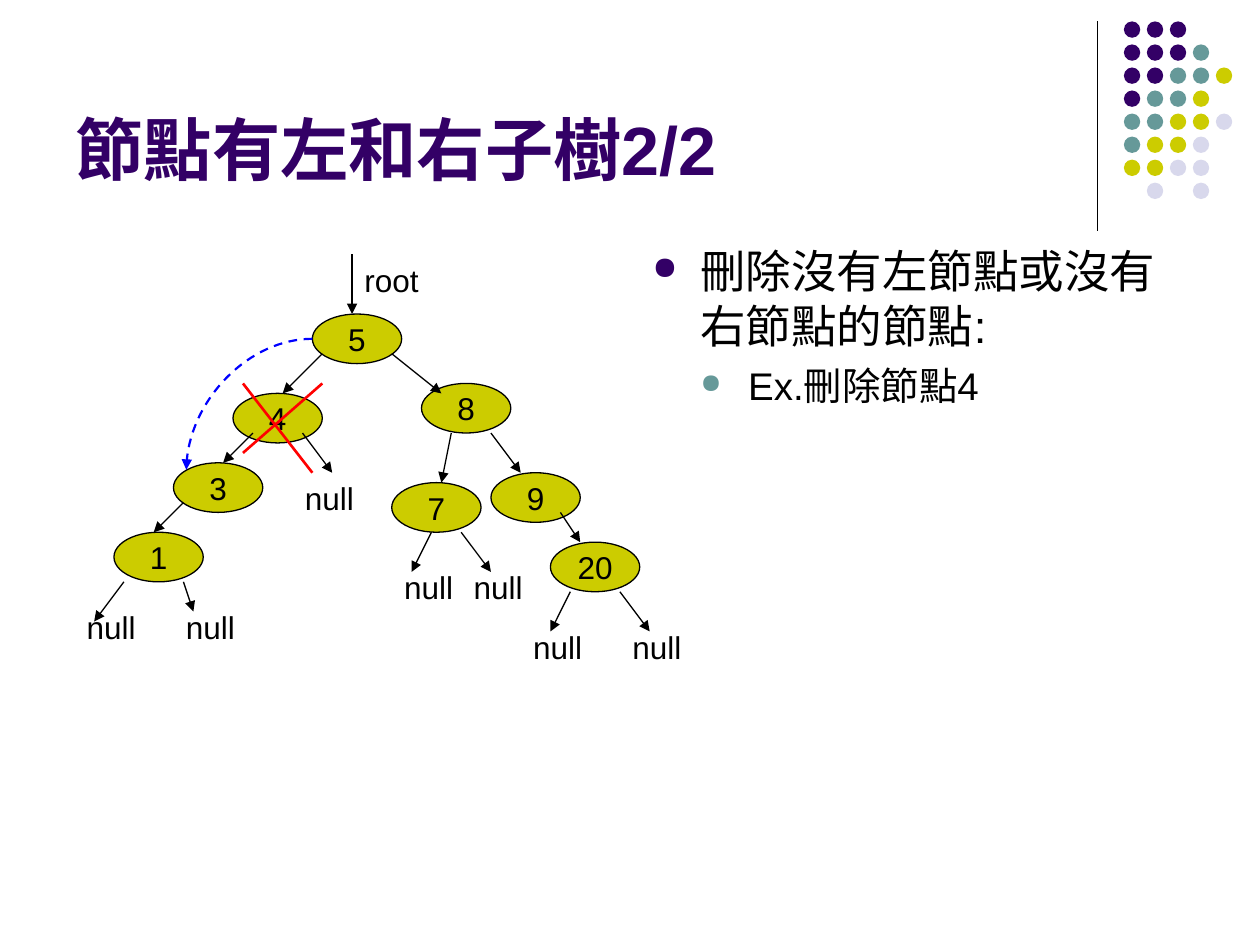
from lxml import etree
from pptx import Presentation, util as u
from pptx.dml.color import RGBColor
from pptx.enum import dml, shapes, text
from pptx.oxml.ns import qn

PURPLE, TEAL, OLIVE, PALE = "330066", "669999", "CCCC00", "D8D8EC"
BLACK, BLUE, RED = "000000", "0000FF", "FF0000"

DOT_ROWS = ["PPP", "PPPT", "PPTTO", "PTTO", "TTOOL", "TOOL", "OOLL", " L L"]
DOT_COLORS = {"P": PURPLE, "T": TEAL, "O": OLIVE, "L": PALE}

TREE_COLUMNS = 63
NODES = [("5", 24, 6), ("8", 35, 13), ("9", 42, 22), ("7", 32, 23),
         ("20", 48, 29), ("4", 16, 14), ("3", 10, 21), ("1", 4, 28)]
NULLS = [(39, 31), (45, 37), (55, 37), (0, 35), (10, 35), (22, 22), (32, 31)]
ARROWS = [(28, 0, 28, 6), (32, 10, 37, 14), (42, 18, 45, 22), (49, 26, 51, 29),
          (38, 18, 37, 23), (36, 28, 34, 32), (39, 28, 42, 32),
          (50, 34, 48, 38), (55, 34, 58, 38), (25, 10, 21, 14),
          (18, 18, 15, 21), (23, 18, 26, 22), (11, 25, 8, 28),
          (5, 33, 2, 37), (11, 33, 12, 36)]
CROSS = [(17, 13, 24, 22), (25, 13, 17, 20)]
BULLETS = [("刪除沒有左節點或沒有右節點的節點:", 26, 0.38, PURPLE, 0),
           ("Ex.刪除節點4", 22, 0.76, TEAL, 5.5)]


def color(value):
    """Turn a hex string into a colour."""
    return RGBColor.from_string(value)


def set_font(para, size, value, bold=False):
    """Format all the text of a paragraph."""
    para.font.name = "Arial"
    para.font.size = u.Pt(size)
    para.font.bold = bold
    para.font.color.rgb = color(value)


def add_line(page, ends, value=BLACK, width=0.75, arrow=False,
             kind=shapes.MSO_CONNECTOR.STRAIGHT):
    """Draw a connector between two points given in inches."""
    line = page.shapes.add_connector(kind, *map(u.Inches, ends))
    line.line.color.rgb = color(value)
    line.line.width = u.Pt(width)
    if arrow:
        etree.SubElement(line.line._get_or_add_ln(), qn("a:tailEnd"), type="triangle")
    etree.SubElement(line._element.spPr, qn("a:effectLst"))
    return line


def add_ellipse(page, box, fill):
    """Draw a filled ellipse without outline or shadow."""
    oval = page.shapes.add_shape(shapes.MSO_SHAPE.OVAL, *map(u.Inches, box))
    oval.shadow.inherit = False
    oval.fill.solid()
    oval.fill.fore_color.rgb = color(fill)
    oval.line.fill.background()
    return oval


def add_label(page, box, words):
    """Place a short label of the tree."""
    frame = page.shapes.add_textbox(*map(u.Inches, box)).text_frame
    frame.word_wrap = True
    para = frame.paragraphs[0]
    para.text = words
    set_font(para, 18, BLACK)


def add_dots(page, box):
    """Draw the corner ornament of coloured dots."""
    left, top, width, height = box
    size = 0.13
    step_x = (width - size) / 4
    step_y = (height - size) / (len(DOT_ROWS) - 1)
    for row, marks in enumerate(DOT_ROWS):
        for column, mark in enumerate(marks):
            if mark in DOT_COLORS:
                spot = (left + column * step_x, top + row * step_y, size, size)
                add_ellipse(page, spot, DOT_COLORS[mark])


def add_title(page, box, words):
    """Move and format the title placeholder."""
    title = page.shapes.title
    title.left, title.top, title.width, title.height = map(u.Inches, box)
    frame = title.text_frame
    frame.auto_size = text.MSO_AUTO_SIZE.NONE
    frame.vertical_anchor = text.MSO_ANCHOR.BOTTOM
    para = frame.paragraphs[0]
    para.text = words
    para.alignment = text.PP_ALIGN.LEFT
    set_font(para, 39, PURPLE, bold=True)


def add_bullets(page, box):
    """Write the bulleted explanation."""
    frame = page.shapes.add_textbox(*map(u.Inches, box)).text_frame
    frame.word_wrap = True
    for index, (words, size, margin, bullet, before) in enumerate(BULLETS):
        para = frame.add_paragraph() if index else frame.paragraphs[0]
        para.text = words
        para.level = index
        para.space_before = u.Pt(before)
        props = para._p.get_or_add_pPr()
        props.set("marL", str(u.Inches(margin)))
        props.set("indent", str(u.Inches(-0.38)))
        tint = etree.SubElement(props, qn("a:buClr"))
        etree.SubElement(tint, qn("a:srgbClr"), val=bullet)
        etree.SubElement(props, qn("a:buSzPct"), val="70000")
        etree.SubElement(props, qn("a:buChar"), char="●")
        set_font(para, size, BLACK)


def add_tree(page, box):
    """Draw the binary tree on a square grid inside the box."""
    left, top, width, _ = box
    unit = width / TREE_COLUMNS

    def area(column, row, columns, rows):
        """Convert a grid area to inches."""
        return left + column * unit, top + row * unit, columns * unit, rows * unit

    def ends(x1, y1, x2, y2):
        """Convert two grid points to inches."""
        return left + x1 * unit, top + y1 * unit, left + x2 * unit, top + y2 * unit

    for words, column, row in NODES:
        node = add_ellipse(page, area(column, row, 9, 5), OLIVE)
        node.line.color.rgb = color(BLACK)
        node.line.width = u.Pt(0.75)
        frame = node.text_frame
        frame.word_wrap = False
        frame.vertical_anchor = text.MSO_ANCHOR.MIDDLE
        para = frame.paragraphs[0]
        para.text = words
        para.alignment = text.PP_ALIGN.CENTER
        set_font(para, 18, BLACK)
    add_label(page, area(28, 0, 11, 5), "root")
    for column, row in NULLS:
        add_label(page, area(column, row, 8, 5), "null")
    for arrow in ARROWS:
        add_line(page, ends(*arrow), arrow=True)
    curve = add_line(page, ends(24, 8.5, 11.3, 21.7), BLUE, 1.25, arrow=True,
                     kind=shapes.MSO_CONNECTOR.CURVE)
    curve.line.dash_style = dml.MSO_LINE.DASH
    curve._element.spPr.find(qn("a:prstGeom")).set("prst", "curvedConnector2")
    for stroke in CROSS:
        add_line(page, ends(*stroke), RED, 1.5)


def main():
    """Build and save the slide."""
    deck = Presentation()
    deck.slide_width, deck.slide_height = u.Inches(10), u.Inches(7.5)
    page = deck.slides.add_slide(deck.slide_layouts[5])
    add_line(page, (8.71, 0.17, 8.71, 1.83))
    add_dots(page, (8.92, 0.17, 0.86, 1.41))
    add_title(page, (0.5, 0.13, 8.25, 1.42), "節點有左和右子樹2/2")
    add_bullets(page, (5.08, 1.88, 4.42, 4.82))
    add_tree(page, (0.59, 2.02, 4.96, 3.31))
    deck.save("out.pptx")


if __name__ == "__main__":
    main()
